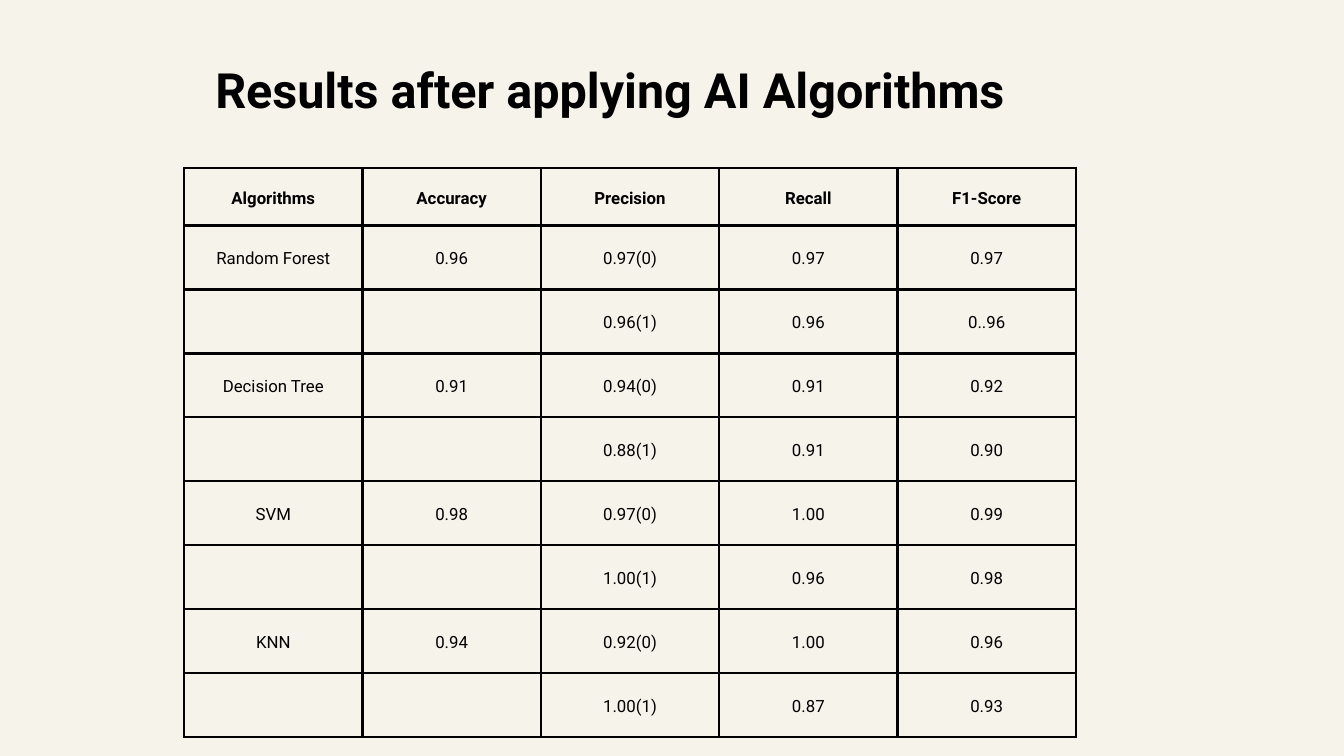
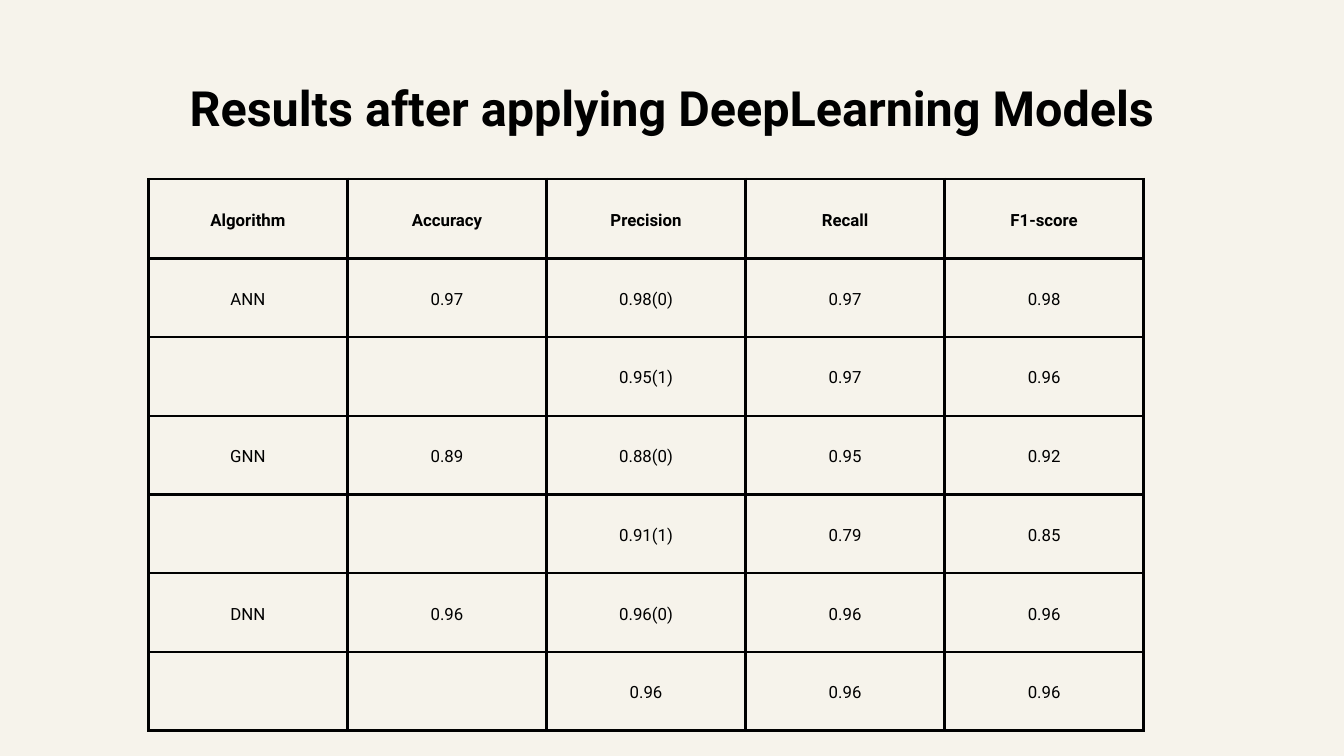
from dataclasses import dataclass

from lxml.etree import SubElement
from pptx import Presentation
from pptx.dml.color import RGBColor
from pptx.enum.text import MSO_ANCHOR, MSO_AUTO_SIZE, PP_ALIGN
from pptx.oxml.ns import qn
from pptx.util import Emu, Pt


# Shared look
@dataclass(frozen=True)
class Theme:
    paper: str = "F6F3EB"
    ink: str = "000000"
    font: str = "Roboto"
    head: int = 52
    body: int = 18
    lead: float = 1.4  # line spacing as a multiple of the type size
    rule: int = 3
    pad: int = 20


THEME = Theme()
WIDE, HIGH = 1920, 1080
TITLE_H = 93

# Results: one row per class, the name and accuracy on the first of each pair
AI_ROWS = [
    ("Algorithms", "Accuracy", "Precision", "Recall", "F1-Score"),
    ("Random Forest", "0.96", "0.97(0)", "0.97", "0.97"),
    ("", "", "0.96(1)", "0.96", "0..96"),
    ("Decision Tree", "0.91", "0.94(0)", "0.91", "0.92"),
    ("", "", "0.88(1)", "0.91", "0.90"),
    ("SVM", "0.98", "0.97(0)", "1.00", "0.99"),
    ("", "", "1.00(1)", "0.96", "0.98"),
    ("KNN", "0.94", "0.92(0)", "1.00", "0.96"),
    ("", "", "1.00(1)", "0.87", "0.93"),
]
DEEP_ROWS = [
    ("Algorithm", "Accuracy", "Precision", "Recall", "F1-score"),
    ("ANN", "0.97", "0.98(0)", "0.97", "0.98"),
    ("", "", "0.95(1)", "0.97", "0.96"),
    ("GNN", "0.89", "0.88(0)", "0.95", "0.92"),
    ("", "", "0.91(1)", "0.79", "0.85"),
    ("DNN", "0.96", "0.96(0)", "0.96", "0.96"),
    ("", "", "0.96", "0.96", "0.96"),
]


def px(size):
    return Emu(round(size * 9525))


def style(para, size, bold):
    para.alignment = PP_ALIGN.CENTER
    para.line_spacing = Pt(size * THEME.lead)
    for run in para.runs:
        font = run.font
        font.name, font.size, font.bold = THEME.font, Pt(size), bold
        font.color.rgb = RGBColor.from_string(THEME.ink)


def inset(box, size):
    box.margin_left = box.margin_right = px(size)
    box.margin_top = box.margin_bottom = px(size)


# Slide with its background and title
def add_page(deck, text, left, top, width):
    page = deck.slides.add_slide(deck.slide_layouts[5])
    fill = page.background.fill
    fill.solid()
    fill.fore_color.rgb = RGBColor.from_string(THEME.paper)

    title = page.shapes.title
    title.left, title.top = px(left), px(top)
    title.width, title.height = px(width), px(TITLE_H)
    frame = title.text_frame
    frame.text = text
    frame.word_wrap = True
    frame.auto_size = MSO_AUTO_SIZE.SHAPE_TO_FIT_TEXT
    frame.vertical_anchor = MSO_ANCHOR.TOP
    inset(frame, 0)
    style(frame.paragraphs[0], THEME.head, True)
    return page


# Cell borders come before the fill in the cell properties
def add_rules(cell):
    props = cell._tc.get_or_add_tcPr()
    for spot, side in enumerate(("lnL", "lnR", "lnT", "lnB")):
        line = SubElement(props, qn(f"a:{side}"), w=str(Pt(THEME.rule)))
        solid = SubElement(line, qn("a:solidFill"))
        SubElement(solid, qn("a:srgbClr"), val=THEME.ink)
        props.insert(spot, line)


def fill_cell(cell, text, bold):
    cell.text = text
    cell.vertical_anchor = MSO_ANCHOR.MIDDLE
    inset(cell, THEME.pad)
    cell.fill.background()
    add_rules(cell)
    style(cell.text_frame.paragraphs[0], THEME.body, bold)


# Equal columns; equal rows below a header of its own height
def add_grid(page, rows, left, top, width, height, header):
    count = len(rows[0])
    grid = page.shapes.add_table(
        len(rows), count, px(left), px(top), px(width), px(height)
    ).table
    grid.first_row = grid.horz_banding = False
    for col in grid.columns:
        col.width = px(width / count)
    for i, row in enumerate(rows):
        grid.rows[i].height = px((height - header) / (len(rows) - 1) if i else header)
        for j, text in enumerate(row):
            fill_cell(grid.cell(i, j), text, i == 0)


def main():
    deck = Presentation()
    deck.slide_width, deck.slide_height = px(WIDE), px(HIGH)

    # AI algorithms
    page = add_page(deck, "Results after applying AI Algorithms", 263, 72, 1217)
    add_grid(page, AI_ROWS, 263, 240, 1274, 813, header=82)

    # Deep learning models
    page = add_page(deck, "Results after applying DeepLearning Models", 212, 98, 1496)
    add_grid(page, DEEP_ROWS, 212, 256, 1422, 788, header=113)

    deck.save("out.pptx")


if __name__ == "__main__":
    main()
